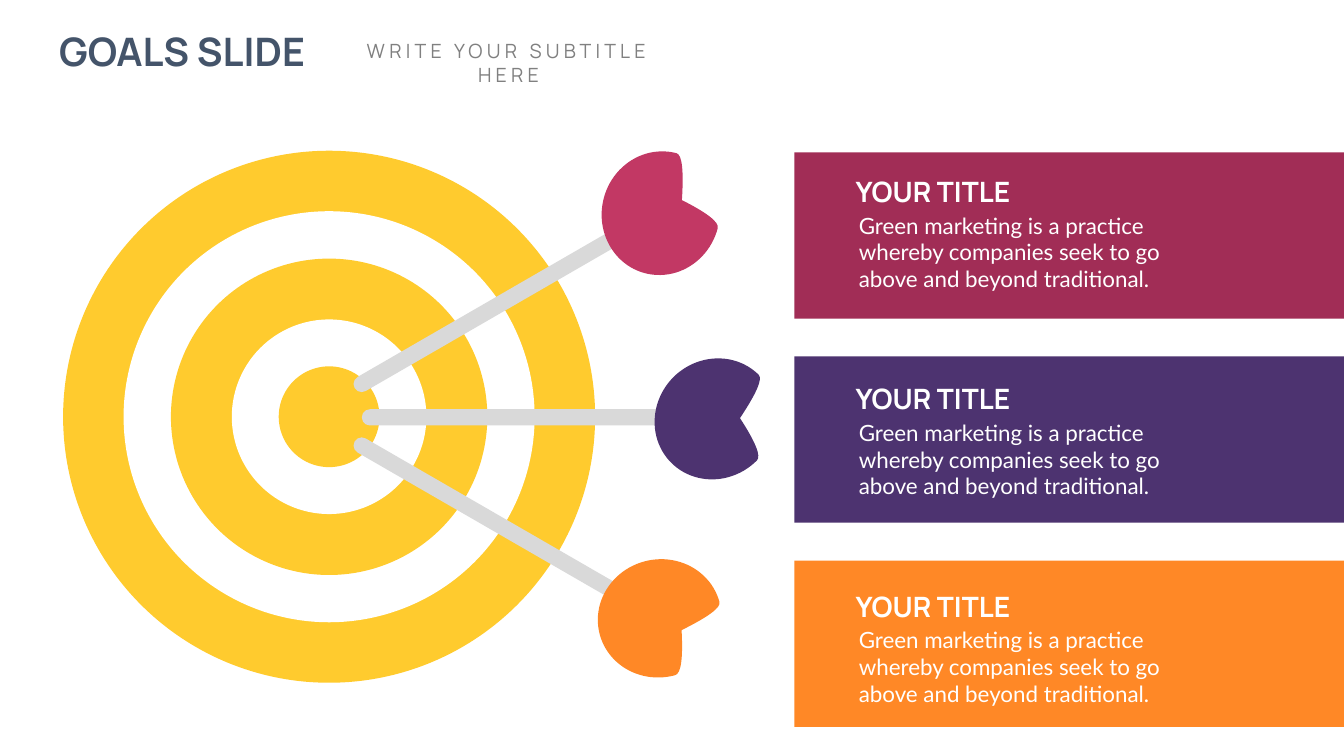
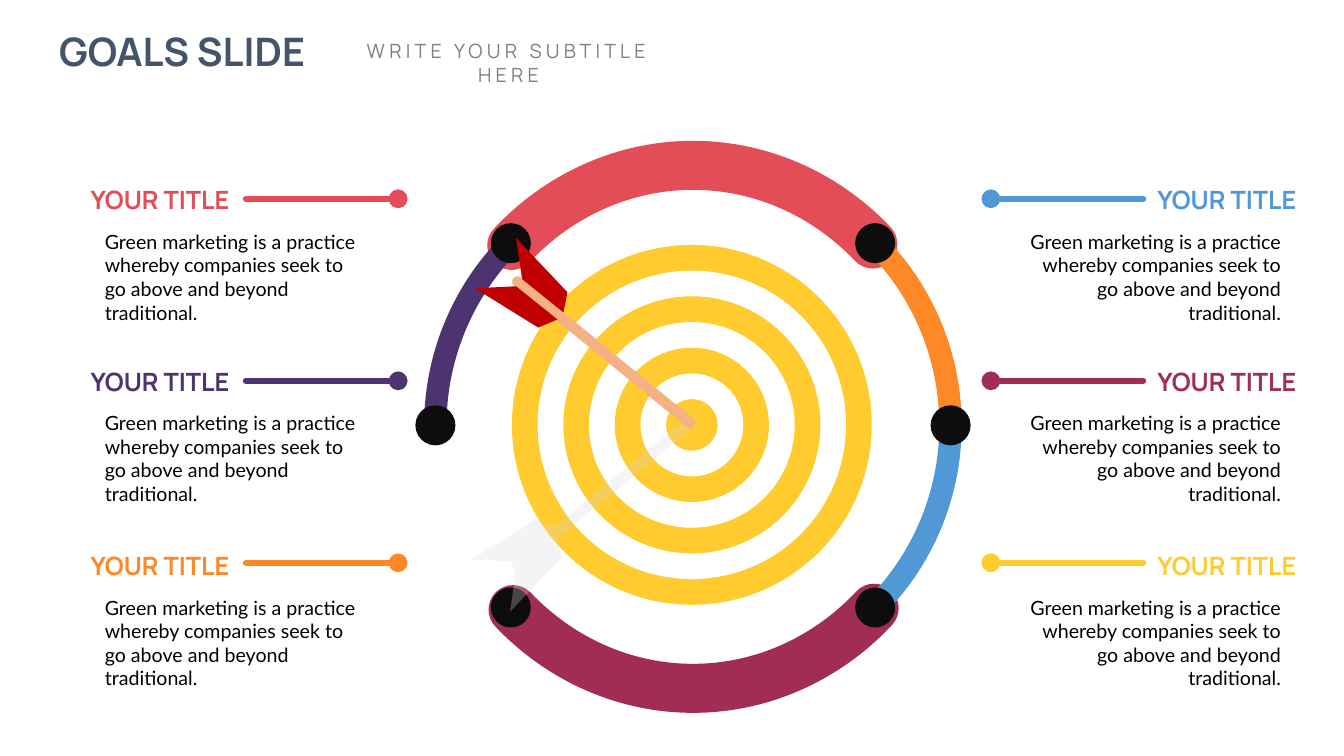
import math

from lxml import etree
from pptx import Presentation
from pptx import util as u
from pptx.dml.color import RGBColor
from pptx.enum import shapes, text
from pptx.oxml.ns import qn

YELLOW = RGBColor(0xFF, 0xCB, 0x2E)
ORANGE = RGBColor(0xFF, 0x88, 0x26)
PURPLE = RGBColor(0x4D, 0x33, 0x70)
WINE = RGBColor(0xA1, 0x2D, 0x56)
PINK = RGBColor(0xC2, 0x38, 0x64)
CORAL = RGBColor(0xE3, 0x4D, 0x57)
BLUE = RGBColor(0x51, 0x98, 0xD6)
RED = RGBColor(0xC0, 0x00, 0x00)
PEACH = RGBColor(0xF4, 0xB1, 0x83)
SILVER = RGBColor(0xD9, 0xD9, 0xD9)
SLATE = RGBColor(0x44, 0x54, 0x6A)
GREY = RGBColor(0x80, 0x80, 0x80)
INK = RGBColor(0x0D, 0x0D, 0x0D)
BLACK = RGBColor(0x00, 0x00, 0x00)
WHITE = RGBColor(0xFF, 0xFF, 0xFF)

Pt = u.Pt
SHAPE = shapes.MSO_SHAPE
ALIGN = text.PP_ALIGN
ANCHOR = text.MSO_ANCHOR
ITEM_TITLE = "YOUR TITLE"
ITEM_BODY = ("Green marketing is a practice whereby companies seek to go "
             "above and beyond traditional.")
BODY_INSET = (17.3, 8.6)


class Deck:
    """Holds the shared style and the slide being drawn."""

    heading_font = "Manrope"
    body_font = "Lato"

    def __init__(self):
        self.deck = Presentation()
        self.deck.slide_width = Pt(960)
        self.deck.slide_height = Pt(540)
        self.page = None

    def new_page(self):
        """Add a slide with the common title and subtitle."""
        self.page = self.deck.slides.add_slide(self.deck.slide_layouts[6])
        self.label("GOALS SLIDE", 34.6, 15.8, 190.8, 41, 28, SLATE,
                   bold=True, align=ALIGN.CENTER, wrap=False)
        self.label("WRITE YOUR SUBTITLE HERE", 231.1, 24.5, 264.2, 24.5, 14,
                   GREY, align=ALIGN.CENTER, inset=(14.4, 3.6), spacing=3)

    def label(self, words, left, top, width, height, size, color,
              font=heading_font, bold=False, align=ALIGN.LEFT,
              anchor=ANCHOR.TOP, wrap=True, inset=(7.2, 3.6), spacing=0):
        box = self.page.shapes.add_textbox(
            Pt(left), Pt(top), Pt(width), Pt(height))
        frame = box.text_frame
        side, edge = Pt(inset[0]), Pt(inset[1])
        frame_format = {
            "word_wrap": wrap, "vertical_anchor": anchor,
            "margin_left": side, "margin_right": side,
            "margin_top": edge, "margin_bottom": edge,
            "auto_size": text.MSO_AUTO_SIZE.SHAPE_TO_FIT_TEXT,
        }
        for name, value in frame_format.items():
            setattr(frame, name, value)
        para = frame.paragraphs[0]
        para.alignment = align
        span = para.add_run()
        span.text = words
        font_format = {"name": font, "size": Pt(size), "bold": bold}
        for name, value in font_format.items():
            setattr(span.font, name, value)
        span.font.color.rgb = color
        if spacing:
            span._r.get_or_add_rPr().set("spc", str(spacing * 100))

    def item_title(self, left, top, width, height, size, color,
                   align=ALIGN.LEFT, wrap=True):
        self.label(ITEM_TITLE, left, top, width, height, size, color,
                   bold=True, align=align, anchor=ANCHOR.MIDDLE, wrap=wrap)

    def item_body(self, left, top, width, height, size, color,
                  align=ALIGN.LEFT):
        self.label(ITEM_BODY, left, top, width, height, size, color,
                   font=self.body_font, align=align, inset=BODY_INSET)

    def paint(self, shape, color):
        shape.shadow.inherit = False
        shape.fill.solid()
        shape.fill.fore_color.rgb = color
        shape.line.fill.background()
        return shape

    def solid(self, kind, center, width, height, color, turn=0, adjust=None):
        """Draw a filled preset shape around its center."""
        x, y = center
        shape = self.page.shapes.add_shape(
            kind, Pt(x - width / 2), Pt(y - height / 2), Pt(width), Pt(height))
        shape.rotation = turn
        if adjust is not None:
            shape.adjustments[0] = adjust
        return self.paint(shape, color)

    def disc(self, center, radius, color):
        self.solid(SHAPE.OVAL, center, 2 * radius, 2 * radius, color)

    def target(self, center, radii):
        """Stack yellow and white discs, from the outermost in."""
        for index, radius in enumerate(radii):
            self.disc(center, radius, WHITE if index % 2 else YELLOW)

    def shaft(self, center, length, thickness, turn, color):
        self.solid(SHAPE.ROUNDED_RECTANGLE, center, length, thickness, color,
                   turn, 0.5)

    def polygon(self, points, color, opacity=None):
        corners = [(Pt(x), Pt(y)) for x, y in points]
        builder = self.page.shapes.build_freeform(*corners[0], scale=1.0)
        builder.add_line_segments(corners[1:], close=True)
        shape = self.paint(builder.convert_to_shape(), color)
        if opacity is not None:
            tint = shape._element.spPr.find(".//" + qn("a:srgbClr"))
            etree.SubElement(tint, qn("a:alpha"), val=str(opacity * 1000))

    def arc(self, center, radius_x, radius_y, start, end, color, weight,
            cap="flat"):
        """Draw an arc; angles in degrees run clockwise from the right."""
        x, y = center
        shape = self.page.shapes.add_shape(
            SHAPE.ARC, Pt(x - radius_x), Pt(y - radius_y),
            Pt(2 * radius_x), Pt(2 * radius_y))
        shape.shadow.inherit = False
        shape.fill.background()
        for index, angle in enumerate((start, end)):
            shape.adjustments[index] = angle * 0.6
        shape.line.color.rgb = color
        shape.line.width = Pt(weight)
        shape.line._get_or_add_ln().set("cap", cap)

    def pointer(self, start, end, y, color):
        """Draw a horizontal line with a dot at its end."""
        line = self.page.shapes.add_connector(
            shapes.MSO_CONNECTOR.STRAIGHT, Pt(start), Pt(y), Pt(end), Pt(y))
        line.line.color.rgb = color
        line.line.width = Pt(4.5)
        outline = line.line._get_or_add_ln()
        outline.set("cap", "rnd")
        etree.SubElement(outline, qn("a:tailEnd"), type="oval")
        etree.SubElement(line._element.spPr, qn("a:effectLst"))


def build_arrows_page(deck):
    deck.new_page()

    # Colour bands with their texts
    for row, color in enumerate((WINE, PURPLE, ORANGE)):
        band_center = (763.7, 168.2 + 145.8 * row)
        deck.solid(SHAPE.RECTANGLE, band_center, 392.6, 118.8, color)
        text_top = 121 + 148 * row
        deck.item_title(604.1, text_top, 126, 31.7, 20, WHITE, wrap=False)
        deck.item_body(596.2, text_top + 21.6, 273.6, 75.6, 16, WHITE)

    # Target
    deck.target((235.1, 297.7), (190, 146.8, 113, 69.5, 36))

    # Arrows: shaft center, shaft turn, flight center, flight colour
    arrows = (
        ((386.6, 298.1), 0, (510.8, 299.2), PURPLE),
        ((364.3, 213.1), -30, (472, 152.3), PINK),
        ((364.3, 379.4), 30, (471.2, 441.7), ORANGE),
    )
    for shaft_center, turn, flight_center, color in arrows:
        deck.shaft(shaft_center, 256.3, 11.6, turn, SILVER)
        deck.solid(SHAPE.TEAR, flight_center, 84.2, 88.6, color,
                   44.7 + turn, 0.291)


def build_wheel_page(deck):
    deck.new_page()
    hub = (495, 303.8)
    wheel_radius = 184

    # Thick arcs below and above
    for y, start, color in ((295.9, 46.95, WINE), (313.9, 226.95, CORAL)):
        deck.arc((495, y), 183.2, 195.8, start, start + 85.68, color, 35,
                 "rnd")

    # Target with evenly spaced rings
    deck.target((494.2, 303.5), [18.36 * step for step in range(7, 0, -1)])

    # Thin arcs and the dots that join them
    for start, end, color in ((180, 225, PURPLE), (315, 359.9, ORANGE),
                              (0, 45, BLUE)):
        deck.arc(hub, wheel_radius, wheel_radius, start, end, color, 16)
    for degrees in (225, 180, 135, 45, 0, 315):
        angle = math.radians(degrees)
        dot_center = (hub[0] + wheel_radius * math.cos(angle),
                      hub[1] + wheel_radius * math.sin(angle))
        deck.disc(dot_center, 14.3, INK)

    # Arrow and its cast shadow
    deck.polygon(
        ((495.4, 304.6), (490.3, 298.8), (396, 376.6), (383, 370.8),
         (337, 399.6), (366.5, 401), (365, 404), (365.8, 406),
         (368.6, 407.5), (364.3, 437), (401, 398.2), (398.2, 384.5)),
        SILVER, opacity=28)
    deck.shaft((431.3, 251.6), 167, 7.5, 39.3, PEACH)
    deck.polygon(((368.6, 204.5), (398.2, 228.2), (384.5, 234),
                  (339.1, 205.9)), RED)
    deck.polygon(((368.6, 169.9), (405.4, 208.8), (402.5, 223.2),
                  (373, 199.4)), RED)

    # Side texts: title left, body left, line start, line end, alignment
    sides = (
        (57.6, 57.6, 175.7, 284.4, ALIGN.LEFT, (CORAL, PURPLE, ORANGE)),
        (817.9, 709.2, 816.5, 707.8, ALIGN.RIGHT, (BLUE, WINE, YELLOW)),
    )
    title_tops = (128.2, 257.8, 389.5)
    for title_left, body_left, start, end, align, colors in sides:
        for row, (top, color) in enumerate(zip(title_tops, colors)):
            deck.item_title(title_left, top, 115.2, 28.8, 18, color, align)
            deck.item_body(body_left, top + 27.4, 223.2, 68.4, 14, BLACK,
                           align)
            deck.pointer(start, end, 142 + 130 * row, color)


def main():
    deck = Deck()
    build_arrows_page(deck)
    build_wheel_page(deck)
    deck.deck.save("out.pptx")


if __name__ == "__main__":
    main()
